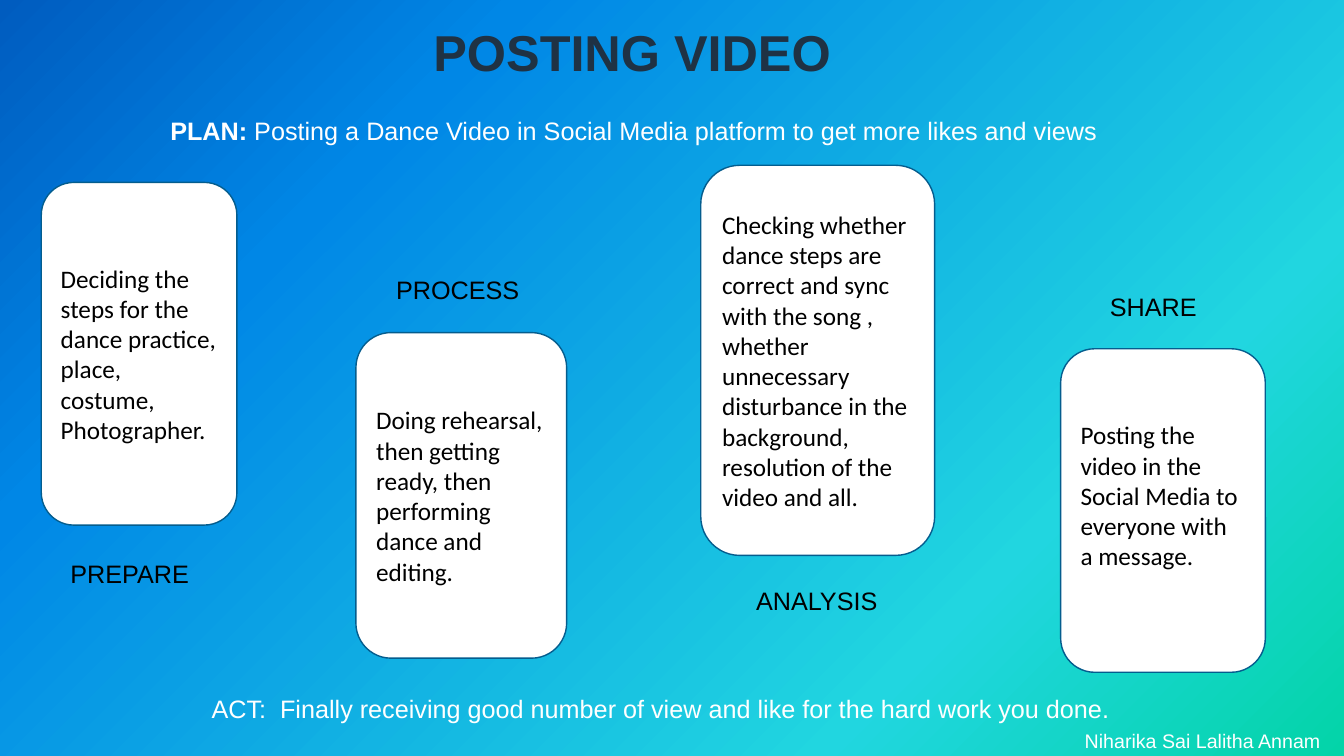
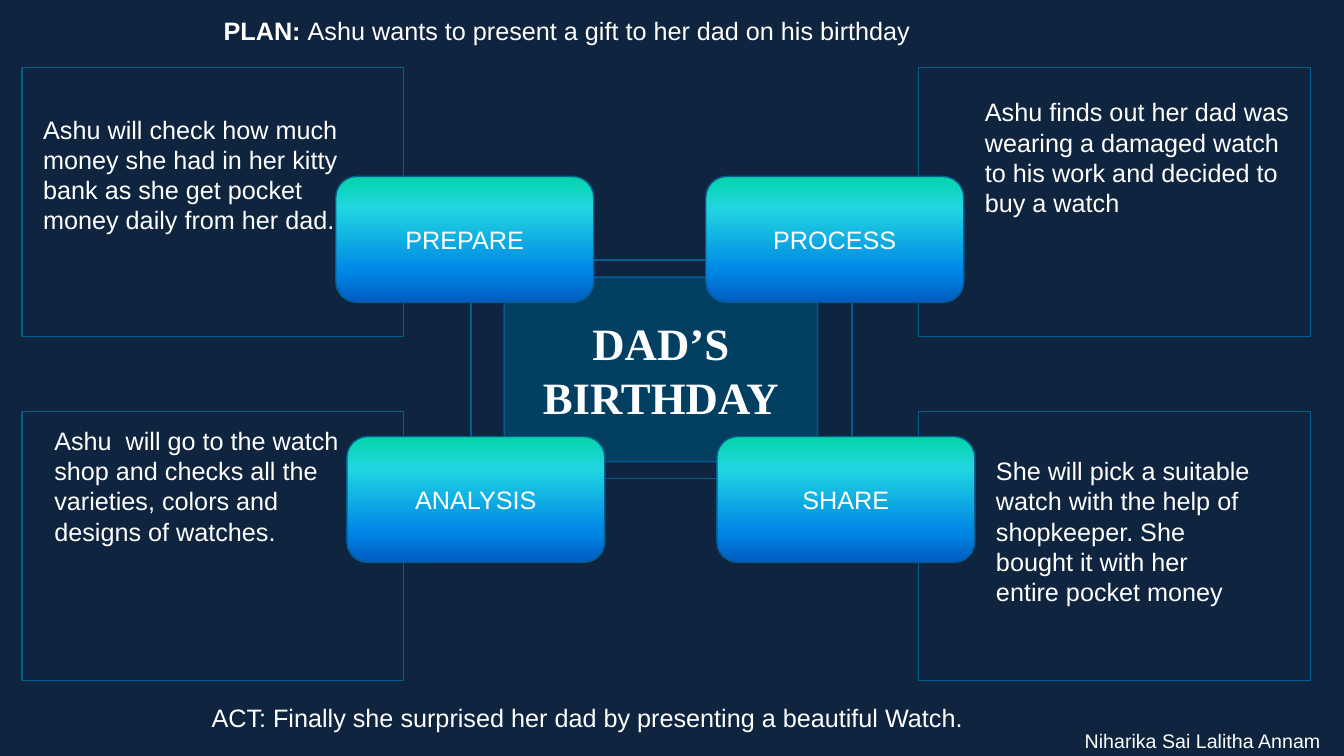
from lxml import etree
from pptx import Presentation
from pptx.dml.color import RGBColor
from pptx.enum import shapes, text
from pptx.oxml.ns import qn
from pptx.util import Inches, Pt

HUES = {
    "white": "FFFFFF", "black": "000000", "edge": "045D8E",
    "navy": "0F243E", "teal": "023F61", "title": "1F3244", "pale": "FBFDFF",
}
STOPS = ((0, "03D4A8"), (25, "21D6E0"), (75, "0087E6"), (100, "005CBF"))
DOWN = '<a:lin ang="5400000" scaled="0"/>'
RADIAL = '<a:path path="circle"><a:fillToRect l="100000" t="100000"/></a:path>'
ROUND = shapes.MSO_SHAPE.ROUNDED_RECTANGLE
RECT = shapes.MSO_SHAPE.RECTANGLE
MID = text.MSO_ANCHOR.MIDDLE
CENTER = text.PP_ALIGN.CENTER


def tint(name):
    return RGBColor.from_string(HUES[name])


def blend(fill, root, mode):
    """Fill with the shared gradient; mode is its direction as XML."""
    fill.solid()
    flat = root.find(".//" + qn("a:solidFill"))
    stops = "".join(
        f'<a:gs pos="{pos * 1000}"><a:srgbClr val="{hue}"/></a:gs>'
        for pos, hue in STOPS)
    grad = etree.fromstring(
        '<a:gradFill xmlns:a="http://schemas.openxmlformats.org/drawingml/2006/main"'
        f' rotWithShape="1"><a:gsLst>{stops}</a:gsLst>{mode}</a:gradFill>')
    flat.getparent().replace(flat, grad)


def write(shape, *lines, lead="", size=18, font="Arial", hue="white",
          bold=False, align=text.PP_ALIGN.LEFT, anchor=text.MSO_ANCHOR.TOP,
          low=0.05):
    """Set one paragraph per line; lead is a bold opening, low the bottom inset."""
    frame = shape.text_frame
    frame.word_wrap = True
    frame.vertical_anchor = anchor
    frame.margin_bottom = Inches(low)
    for i, line in enumerate(lines):
        para = frame.add_paragraph() if i else frame.paragraphs[0]
        para.alignment = align
        parts = [(lead, True)] if lead and not i else []
        for words, heavy in parts + [(line, bold)]:
            run = para.add_run()
            run.text = words
            run.font.size = Pt(size)
            run.font.name = font
            run.font.bold = heavy
            run.font.color.rgb = tint(hue)


def label(slide, at, *lines, **style):
    write(slide.shapes.add_textbox(*map(Inches, at)), *lines, **style)


def box(slide, kind, at, fill=None):
    shape = slide.shapes.add_shape(kind, *map(Inches, at))
    shape.shadow.inherit = False
    shape.line.color.rgb = tint("edge")
    shape.line.width = Pt(1)
    if fill == "blend":
        blend(shape.fill, shape.element, DOWN)
    elif fill:
        shape.fill.solid()
        shape.fill.fore_color.rgb = tint(fill)
    else:
        shape.fill.background()
    return shape


def frame(slide, plan, spot, act, base):
    """Add the plan line, the act line and the author's name."""
    label(slide, spot, plan, lead="PLAN: ")
    label(slide, (2, base, 9.2, 0.4), act)
    label(slide, (10.66, 7.18, 2.67, 0.32), "Niharika Sai Lalitha Annam", size=14)


def video(slide):
    blend(slide.background.fill, slide.element, RADIAL)
    label(slide, (4.2, 0.16, 4.18, 0.71), "POSTING VIDEO",
          size=36, hue="title", bold=True)
    cards = (
        ("PREPARE", (0.6, 5.49, 1.39, 0.4), (0.41, 1.81, 1.94, 3.4), 0.05,
         ["Deciding the steps for the dance practice, place, costume, Photographer."]),
        ("PROCESS", (3.83, 2.67, 1.44, 0.4), (3.53, 3.3, 2.09, 3.23), 0.05,
         ["Doing rehearsal, then getting ready, then performing dance and editing."]),
        ("ANALYSIS", (7.4, 5.76, 1.42, 0.4), (6.95, 1.64, 2.32, 3.87), 0.05,
         ["Checking whether dance steps are correct and sync",
          "with the song , whether unnecessary disturbance in the background, "
          "resolution of the video and all."]),
        ("SHARE", (10.91, 2.84, 1.07, 0.4), (10.52, 3.46, 2.03, 3.21), 0.35,
         ["Posting the video in the Social Media to everyone with", "a message."]),
    )
    for name, spot, at, low, lines in cards:
        write(box(slide, ROUND, at, "white"), *lines, font="Calibri",
              hue="black", anchor=MID, low=low)
        label(slide, spot, name, hue="black")
    frame(slide, "Posting a Dance Video in Social Media platform to get more likes and views",
          (1.59, 1.09, 9.41, 0.4),
          "ACT:  Finally receiving good number of view and like for the hard work you done.",
          6.83)


def gift(slide):
    back = slide.background.fill
    back.solid()
    back.fore_color.rgb = tint("navy")
    hub = box(slide, ROUND, (5, 2.75, 3.11, 1.83), "teal")
    write(hub, "DAD’S BIRTHDAY", size=32, font="Times New Roman", hue="pale",
          bold=True, align=CENTER, anchor=MID)
    box(slide, RECT, (4.67, 2.58, 3.78, 2.17))
    for left, wide in ((0.22, 3.78), (9.11, 3.89)):
        for top in (0.67, 4.08):
            box(slide, RECT, (left, top, wide, 2.67))
    steps = (
        ("PREPARE", 3.33, 1.75, (0.33, 1.08, 3.33, 1.31),
         "Ashu will check how much money she had in her kitty bank "
         "as she get pocket money daily from her dad."),
        ("PROCESS", 7, 1.75, (9.67, 0.91, 3.26, 1.31),
         "Ashu finds out her dad was wearing a damaged watch "
         "to his work and decided to buy a watch"),
        ("ANALYSIS", 3.44, 4.33, (0.44, 4.17, 3.22, 1.31),
         "Ashu  will go to the watch shop and checks all the varieties, "
         "colors and designs of watches."),
        ("SHARE", 7.11, 4.33, (9.78, 4.47, 2.78, 1.62),
         "She will pick a suitable watch with the help of shopkeeper. "
         "She bought it with her entire pocket money"),
    )
    for name, left, top, spot, words in steps:
        write(box(slide, ROUND, (left, top, 2.56, 1.25), "blend"), name,
              align=CENTER, anchor=MID)
        label(slide, spot, words)
    frame(slide, "Ashu wants to present a gift to her dad on his birthday",
          (2.12, 0.1, 10.11, 0.4),
          "ACT: Finally she surprised her dad by presenting a beautiful Watch.",
          6.92)


def main():
    deck = Presentation()
    deck.slide_width = Inches(13.33)
    deck.slide_height = Inches(7.5)
    for build in (video, gift):
        build(deck.slides.add_slide(deck.slide_layouts[6]))
    deck.save("out.pptx")


if __name__ == "__main__":
    main()
